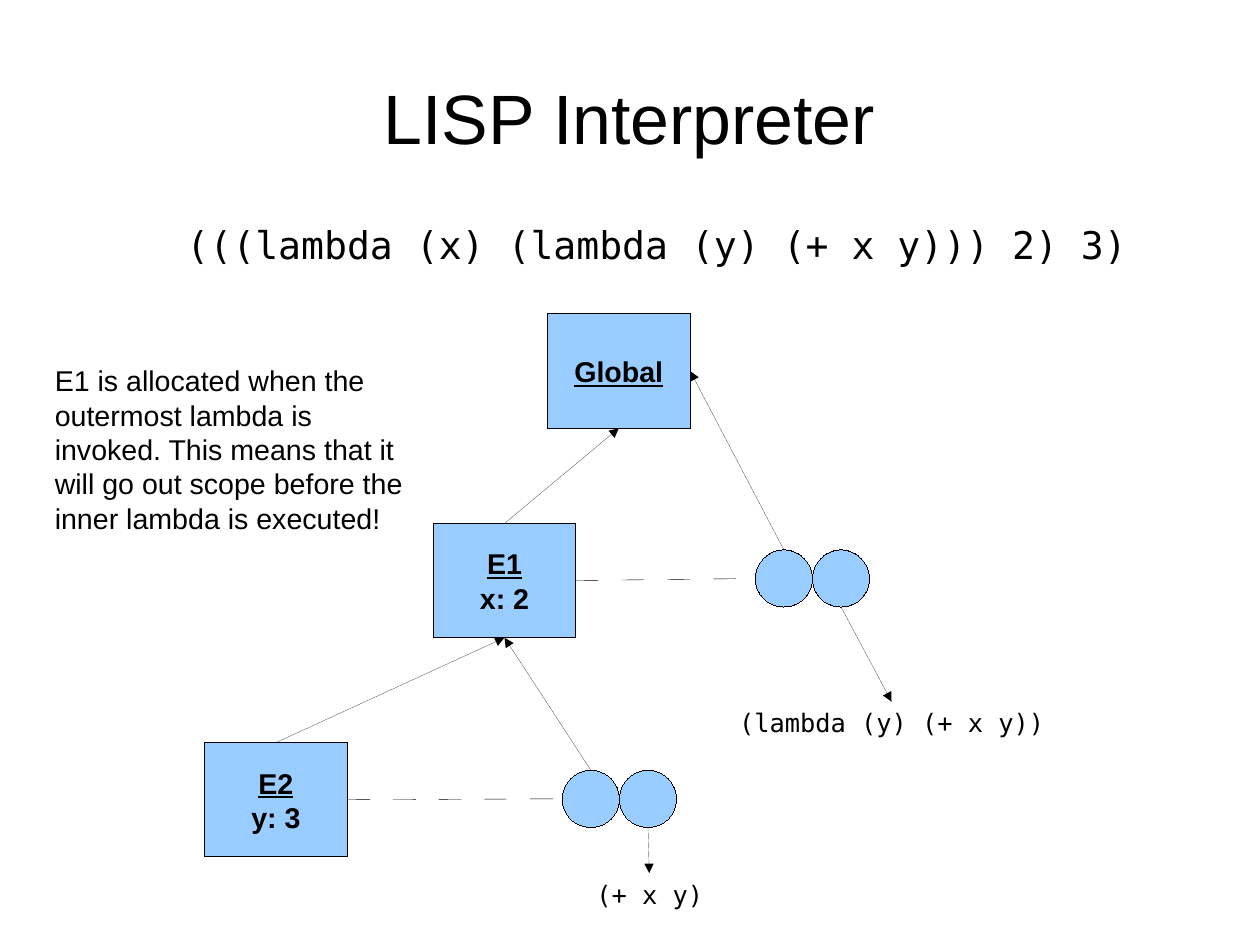
"""Build a slide on environments and closures in a LISP interpreter."""
from dataclasses import dataclass

from pptx import Presentation
from pptx.dml.color import RGBColor
from pptx.enum.shapes import MSO_CONNECTOR as Link, MSO_SHAPE as Shape
from pptx.enum.text import MSO_ANCHOR as Anchor, MSO_AUTO_SIZE as Fit, PP_ALIGN as Align
from pptx.oxml.ns import qn
from pptx.util import Pt


@dataclass(frozen=True)
class Theme:
    ink: RGBColor = RGBColor(0, 0, 0)
    fill: RGBColor = RGBColor(0x99, 0xCC, 0xFF)
    sans: str = "Arial"
    mono: str = "DejaVu Sans Mono"
    title: int = 44
    code: int = 24
    text: int = 18
    label: int = 16
    hairline: float = 0.01
    dashed: float = 0.25
    dash: float = 14.1


def site(shape, across, down):
    return (shape.left.pt + across * shape.width.pt,
            shape.top.pt + down * shape.height.pt)


def top(shape):
    return site(shape, 0.5, 0)


def bottom(shape):
    return site(shape, 0.5, 1)


def left(shape):
    return site(shape, 0, 0.5)


def right(shape):
    return site(shape, 1, 0.5)


class Diagram:
    def __init__(self, slide, theme):
        self.slide = slide
        self.theme = theme

    def format(self, para, size, face, align=Align.LEFT, bold=False):
        para.alignment = align
        para.space_before = Pt(0)
        font = para.font
        font.name, font.size, font.bold = face, Pt(size), bold
        font.color.rgb = self.theme.ink

    def placeholder(self, index, place, text, size, face, anchor):
        holder = self.slide.placeholders[index]
        holder.left, holder.top, holder.width, holder.height = map(Pt, place)
        frame = holder.text_frame
        frame.margin_left = frame.margin_right = Pt(0)
        frame.margin_top = frame.margin_bottom = Pt(0)
        frame.auto_size, frame.vertical_anchor = Fit.NONE, anchor
        frame.text = text
        para = frame.paragraphs[0]
        properties = para._p.get_or_add_pPr()
        properties.append(properties.makeelement(qn("a:buNone"), {}))
        self.format(para, size, face, Align.CENTER)
        return para

    def title(self, place, text):
        self.placeholder(0, place, text, self.theme.title, self.theme.sans, Anchor.MIDDLE)

    def expression(self, place, text):
        para = self.placeholder(1, place, text, self.theme.code, self.theme.mono, Anchor.TOP)
        properties = para._p.get_or_add_pPr()
        properties.set("marL", str(Pt(34)))
        properties.set("indent", "0")
        para.space_after = Pt(7.2)

    def shape(self, kind, *place):
        shape = self.slide.shapes.add_shape(kind, *map(Pt, place))
        shape.shadow.inherit = False
        shape.fill.solid()
        shape.fill.fore_color.rgb = self.theme.fill
        shape.line.color.rgb = self.theme.ink
        shape.line.width = Pt(self.theme.hairline)
        return shape

    def environment(self, x, y, *lines):
        box = self.shape(Shape.RECTANGLE, x, y, 90, 72)
        frame = box.text_frame
        frame.vertical_anchor = Anchor.MIDDLE
        frame.text = "\n".join(lines)
        for number, para in enumerate(frame.paragraphs):
            self.format(para, self.theme.text, self.theme.sans, Align.CENTER, bold=True)
            para.font.underline = number == 0
        return box

    def closure(self, x, y, size=36):
        return [self.shape(Shape.OVAL, x + size * number, y, size, size)
                for number in range(2)]

    def text(self, place, text, size, face, wrap):
        box = self.slide.shapes.add_textbox(*map(Pt, place))
        frame = box.text_frame
        frame.word_wrap = wrap
        frame.text = text
        self.format(frame.paragraphs[0], size, face)

    def note(self, place, text):
        self.text(place, text, self.theme.text, self.theme.sans, True)

    def label(self, place, text):
        self.text(place, text, self.theme.label, self.theme.mono, False)

    def line(self, start, end, width):
        link = self.slide.shapes.add_connector(Link.STRAIGHT, *map(Pt, start + end))
        link.line.color.rgb = self.theme.ink
        link.line.width = Pt(width)
        properties = link._element.spPr
        properties.append(properties.makeelement(qn("a:effectLst"), {}))
        return link.line._get_or_add_ln()

    def arrow(self, start, end):
        outline = self.line(start, end, self.theme.hairline)
        outline.append(outline.makeelement(qn("a:tailEnd"), {"type": "triangle"}))

    def dashes(self, start, end):
        outline = self.line(start, end, self.theme.dashed)
        length = str(round(self.theme.dash / self.theme.dashed * 100000))
        pattern = outline.makeelement(qn("a:custDash"), {})
        pattern.append(pattern.makeelement(qn("a:ds"), {"d": length, "sp": length}))
        outline.append(pattern)


def main():
    deck = Presentation()
    deck.slide_width, deck.slide_height = Pt(793.7), Pt(595.28)
    page = Diagram(deck.slides.add_slide(deck.slide_layouts[1]), Theme())

    page.title((39.6, 23.8, 714.2, 99.4), "LISP Interpreter")
    page.expression((39.6, 139.3, 714.2, 393), "(((lambda (x) (lambda (y) (+ x y))) 2) 3)")
    page.note((27.4, 225.4, 234, 108),
              "E1 is allocated when the outermost lambda is invoked. This means that it "
              "will go out scope before the inner lambda is executed!")

    global_box = page.environment(344.8, 197.8, "Global")
    outer_box = page.environment(272.8, 329.7, "E1", "x: 2")
    inner_box = page.environment(128.8, 467.8, "E2", "y: 3")
    outer_scope, outer_code = page.closure(475.8, 346.4)
    inner_scope, inner_code = page.closure(354.2, 485.2)
    page.label((458.6, 442, 206.6, 26), "(lambda (y) (+ x y))")
    page.label((368.6, 550, 81.4, 26), "(+ x y)")

    for start, end in (
        (top(outer_box), bottom(global_box)),
        (top(inner_box), bottom(outer_box)),
        (top(outer_scope), right(global_box)),
        (top(inner_scope), bottom(outer_box)),
        (bottom(outer_code), (561.6, 442)),
        (bottom(inner_code), (409, 550)),
    ):
        page.arrow(start, end)
    for box, scope in ((outer_box, outer_scope), (inner_box, inner_scope)):
        page.dashes(right(box), left(scope))

    deck.save("out.pptx")


if __name__ == "__main__":
    main()
